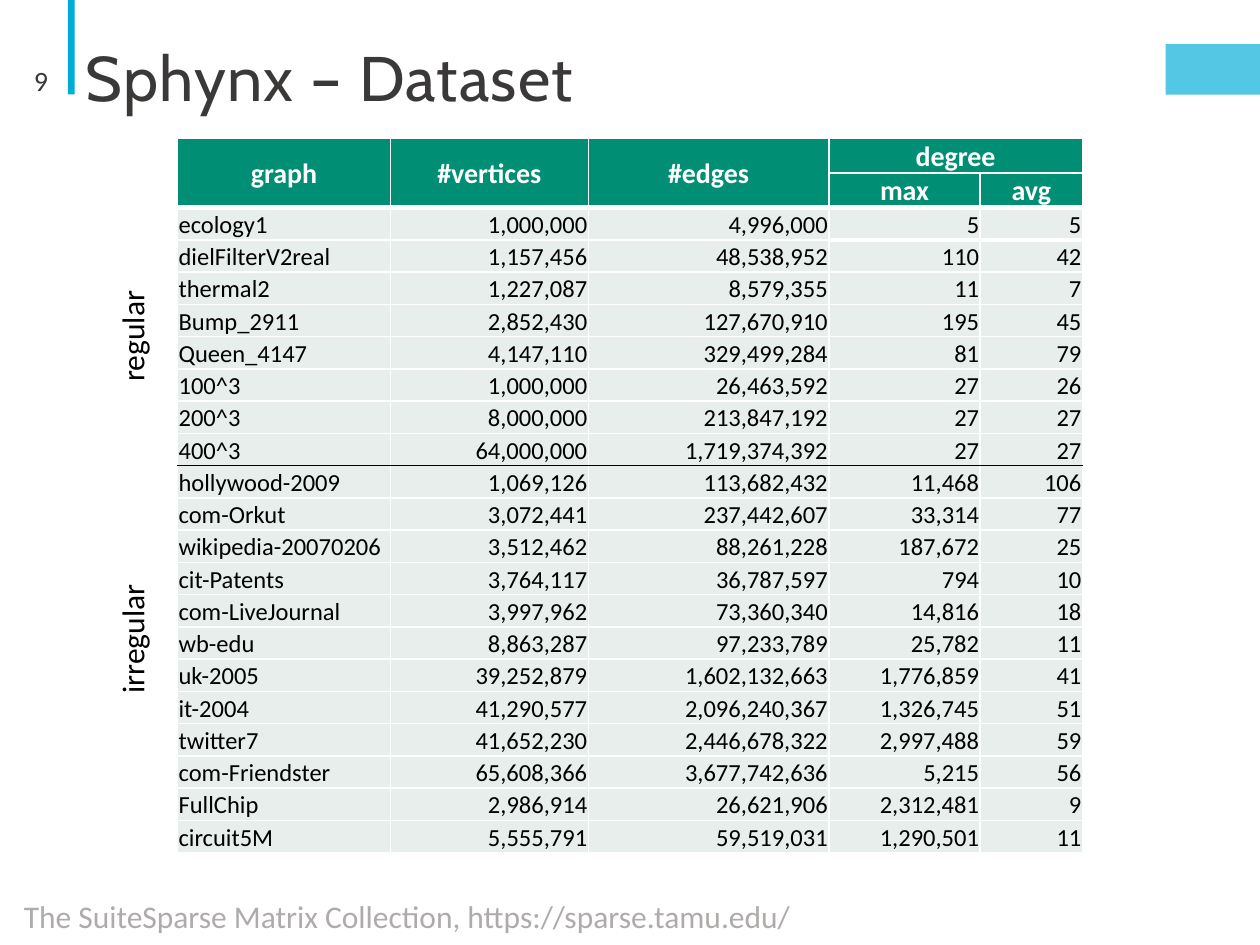
from lxml import etree
from pptx import Presentation
from pptx import util as u
from pptx.dml import color
from pptx.enum import shapes, text
from pptx.oxml import ns

WHITE, BLACK, INK, BLUE = "FFFFFF", "000000", "3B3838", "00ACD9"
GREEN, PALE, GREY = "008E74", "E7EEEB", "AFABAB"
LEFT, MID, RIGHT = text.PP_ALIGN.LEFT, text.PP_ALIGN.CENTER, text.PP_ALIGN.RIGHT
WIDTHS = [4.29, 3.99, 4.85, 3.05, 2.06]
HEAD, BODY = 0.7, 0.65
SPLIT = 9

ROWS = [
    ("graph", "#vertices", "#edges", "degree", ""),
    ("", "", "", "max", "avg"),
    ("ecology1", "1,000,000", "4,996,000", "5", "5"),
    ("dielFilterV2real", "1,157,456", "48,538,952", "110", "42"),
    ("thermal2", "1,227,087", "8,579,355", "11", "7"),
    ("Bump_2911", "2,852,430", "127,670,910", "195", "45"),
    ("Queen_4147", "4,147,110", "329,499,284", "81", "79"),
    ("100^3", "1,000,000", "26,463,592", "27", "26"),
    ("200^3", "8,000,000", "213,847,192", "27", "27"),
    ("400^3", "64,000,000", "1,719,374,392", "27", "27"),
    ("hollywood-2009", "1,069,126", "113,682,432", "11,468", "106"),
    ("com-Orkut", "3,072,441", "237,442,607", "33,314", "77"),
    ("wikipedia-20070206", "3,512,462", "88,261,228", "187,672", "25"),
    ("cit-Patents", "3,764,117", "36,787,597", "794", "10"),
    ("com-LiveJournal", "3,997,962", "73,360,340", "14,816", "18"),
    ("wb-edu", "8,863,287", "97,233,789", "25,782", "11"),
    ("uk-2005", "39,252,879", "1,602,132,663", "1,776,859", "41"),
    ("it-2004", "41,290,577", "2,096,240,367", "1,326,745", "51"),
    ("twitter7", "41,652,230", "2,446,678,322", "2,997,488", "59"),
    ("com-Friendster", "65,608,366", "3,677,742,636", "5,215", "56"),
    ("FullChip", "2,986,914", "26,621,906", "2,312,481", "9"),
    ("circuit5M", "5,555,791", "59,519,031", "1,290,501", "11"),
]


def rgb(code):
    return color.RGBColor.from_string(code)


def place(item, box):
    item.left, item.top, item.width, item.height = map(u.Cm, box)


def style(para, size, tint, align=LEFT, face="Calibri", bold=False):
    para.alignment = align
    font = para.font
    font.name, font.size, font.bold = face, u.Pt(size), bold
    font.color.rgb = rgb(tint)


def add_bar(slide, box, turn=0, alpha=None):
    bar = slide.shapes.add_shape(shapes.MSO_SHAPE.RECTANGLE, *map(u.Cm, box))
    bar.rotation = turn
    bar.shadow.inherit = False
    bar.line.fill.background()
    bar.fill.solid()
    bar.fill.fore_color.rgb = rgb(BLUE)
    if alpha:
        tint = bar.fill._xPr.find(".//" + ns.qn("a:srgbClr"))
        etree.SubElement(tint, ns.qn("a:alpha"), val=str(alpha * 1000))


def add_text(slide, box, words, size, tint, align=LEFT, turn=0, wrap=True):
    label = slide.shapes.add_textbox(*map(u.Cm, box))
    label.rotation = turn
    frame = label.text_frame
    frame.word_wrap = wrap
    frame.vertical_anchor = text.MSO_ANCHOR.MIDDLE
    frame.text = words
    style(frame.paragraphs[0], size, tint, align)


def add_title(slide, words):
    title = slide.shapes.title
    place(title, (1.47, 0.81, 19.66, 1.68))
    frame = title.text_frame
    frame.text = words
    frame.auto_size = text.MSO_AUTO_SIZE.NONE
    frame.vertical_anchor = text.MSO_ANCHOR.MIDDLE
    para = frame.paragraphs[0]
    style(para, 36, INK, face="Cabin")
    para.line_spacing = 0.85
    para.runs[0].font._element.set("spc", "80")


def rule(row, col):
    if row == SPLIT:
        return BLACK, 1
    thick = row == 1 or (row == 0 and col < 3) or (row == 2 and col > 2)
    return WHITE, 3 if thick else 1


def edge(cell, side, tint, width):
    props = cell._tc.get_or_add_tcPr()
    line = etree.SubElement(props, ns.qn("a:ln" + side), w=str(u.Pt(width)))
    fill = etree.SubElement(line, ns.qn("a:solidFill"))
    etree.SubElement(fill, ns.qn("a:srgbClr"), val=tint)


def fill_cell(cell, row, col, words):
    head = row < 2
    edge(cell, "L", WHITE, 1)
    edge(cell, "R", WHITE, 1)
    edge(cell, "T", *rule(row - 1, col))
    edge(cell, "B", *rule(row, col))
    cell.fill.solid()
    cell.fill.fore_color.rgb = rgb(GREEN if head else PALE)
    cell.margin_left = cell.margin_right = cell.margin_top = u.Cm(0.02)
    cell.margin_bottom = 0
    cell.vertical_anchor = text.MSO_ANCHOR.MIDDLE if head else text.MSO_ANCHOR.BOTTOM
    cell.text = words
    para = cell.text_frame.paragraphs[0]
    if head:
        style(para, 16, WHITE, MID, bold=True)
    else:
        style(para, 14, BLACK, RIGHT if col else LEFT)


def add_grid(slide):
    tall = [HEAD if row < 2 else BODY for row in range(len(ROWS))]
    size = map(u.Cm, (3.58, 2.79, sum(WIDTHS), sum(tall)))
    grid = slide.shapes.add_table(len(ROWS), len(WIDTHS), *size).table
    grid.first_row = grid.horz_banding = False
    for col, wide in enumerate(WIDTHS):
        grid.columns[col].width = u.Cm(wide)
    for row, items in enumerate(ROWS):
        grid.rows[row].height = u.Cm(tall[row])
        for col, words in enumerate(items):
            fill_cell(grid.cell(row, col), row, col, words)
    for col in range(3):
        grid.cell(0, col).merge(grid.cell(1, col))
    grid.cell(0, 3).merge(grid.cell(0, 4))


def main():
    deck = Presentation()
    deck.slide_width, deck.slide_height = u.Cm(25.4), u.Cm(19.05)
    slide = deck.slides.add_slide(deck.slide_layouts[5])
    add_bar(slide, (0.48, 0.88, 1.91, 0.14), turn=90)
    add_bar(slide, (23.5, 0.89, 1.9, 1.02), alpha=67)
    add_text(slide, (0, 1.1, 1.22, 1.02), "9", 16, INK, RIGHT)
    add_title(slide, "Sphynx – Dataset")
    add_grid(slide)
    for words, top in (("regular", 6.27), ("irregular", 12.37)):
        add_text(slide, (0.84, top, 3.63, 1.02), words, 18, BLACK, MID, turn=270)
    source = "The SuiteSparse Matrix Collection, https://sparse.tamu.edu/"
    add_text(slide, (0.23, 17.96, 16.15, 1.02), source, 18, GREY, wrap=False)
    deck.save("out.pptx")


if __name__ == "__main__":
    main()
